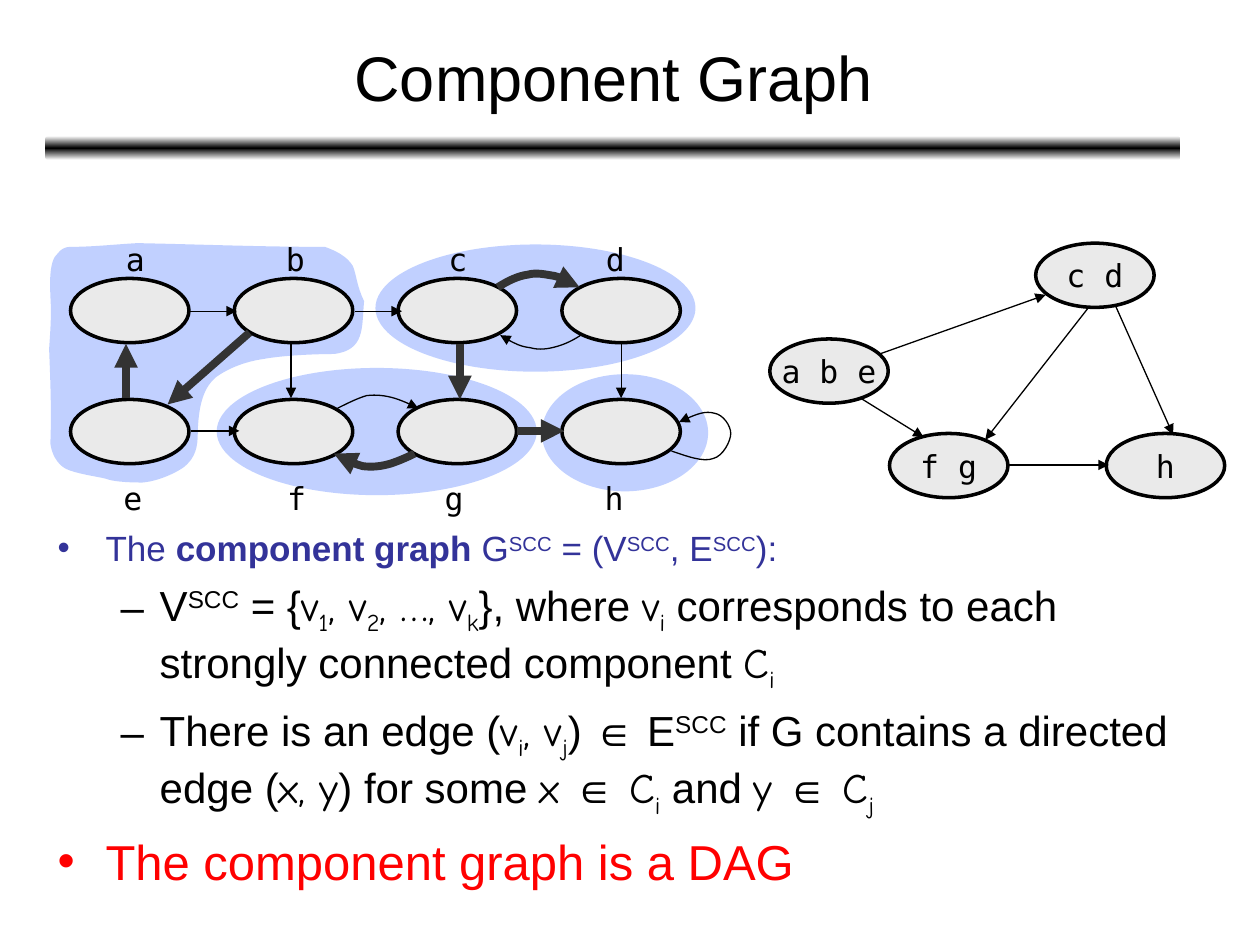
from copy import deepcopy

from lxml import etree
from pptx import Presentation
from pptx.dml.color import RGBColor
from pptx.enum.shapes import MSO_CONNECTOR, MSO_SHAPE
from pptx.enum.text import MSO_ANCHOR, PP_ALIGN
from pptx.oxml.ns import qn
from pptx.util import Inches, Pt

STRAIGHT = MSO_CONNECTOR.STRAIGHT
OVAL, ROUNDED = MSO_SHAPE.OVAL, MSO_SHAPE.ROUNDED_RECTANGLE
LEFT, CENTER = PP_ALIGN.LEFT, PP_ALIGN.CENTER
MIDDLE, TOP = MSO_ANCHOR.MIDDLE, MSO_ANCHOR.TOP

BLACK, WHITE = RGBColor(0, 0, 0), RGBColor(255, 255, 255)
NAVY, RED = RGBColor(0x33, 0x33, 0x99), RGBColor(255, 0, 0)
NODE_GRAY, TREE_GRAY = RGBColor(0xEA, 0xEA, 0xEA), RGBColor(0x33, 0x33, 0x33)
HALO_BLUE = RGBColor(0x33, 0x66, 0xFF)
SANS, HAND, MONO = "Arial", "Comic Neue", "DejaVu Sans Mono"

# Run styles: (font, bold, baseline in thousandths of a percent)
STYLES = {
    "plain": (SANS, False, 0),
    "bold": (SANS, True, 0),
    "sup": (SANS, False, 30000),
    "var": (HAND, False, 0),
    "sub": (HAND, False, -25000),
}
TOP_LEVEL = dict(indent=(0.38, -0.38), bullet="•")
SECOND_LEVEL = dict(indent=(0.81, -0.31), bullet="–", level=1, before=6, size=24, color=BLACK)
BODY = [
    ([("The ", "plain"), ("component graph", "bold"), (" G", "plain"), ("SCC", "sup"),
      (" = (V", "plain"), ("SCC", "sup"), (", E", "plain"), ("SCC", "sup"), ("):", "plain")],
     dict(TOP_LEVEL, size=20, color=NAVY)),
    ([("V", "plain"), ("SCC", "sup"), (" = {", "plain"), ("v", "var"), ("1", "sub"),
      (", v", "var"), ("2", "sub"), (", …, v", "var"), ("k", "sub"), ("}, where ", "plain"),
      ("v", "var"), ("i", "sub"),
      (" corresponds to each strongly connected component ", "plain"),
      ("C", "var"), ("i", "sub")], SECOND_LEVEL),
    ([("There is an edge (", "plain"), ("v", "var"), ("i", "sub"), (", v", "var"), ("j", "sub"),
      (") ∈ E", "plain"), ("SCC", "sup"), (" if G contains a directed edge (", "plain"),
      ("x, y", "var"), (") for some ", "plain"), ("x ", "var"), ("∈", "plain"), (" C", "var"),
      ("i", "sub"), (" and ", "plain"), ("y ", "var"), ("∈", "plain"), (" C", "var"),
      ("j", "sub")], SECOND_LEVEL),
    ([("The component graph is a DAG", "plain")],
     dict(TOP_LEVEL, size=28, color=RED, before=7)),
]

# Cubic Bézier chains: start point, then two controls and an end point per curve
ABE_HALO = [
    (0.55, 1.96), (0.74, 1.96), (0.91, 1.94), (1.09, 1.93),
    (1.59, 1.94), (2.08, 1.96), (2.58, 1.96), (2.66, 1.99), (2.75, 2.03), (2.8, 2.11),
    (2.83, 2.18), (2.83, 2.27), (2.89, 2.39), (2.87, 2.6), (2.9, 2.78), (2.65, 2.81),
    (2.52, 2.81), (2.25, 2.82), (2.09, 2.85), (1.95, 2.87), (1.82, 2.92), (1.72, 2.99),
    (1.62, 3.07), (1.58, 3.2), (1.57, 3.41), (1.57, 3.5), (1.57, 3.6), (1.49, 3.68),
    (1.45, 3.73), (1.27, 3.82), (1.13, 3.83), (0.99, 3.83), (0.89, 3.82), (0.84, 3.8),
    (0.76, 3.78), (0.6, 3.76), (0.52, 3.72), (0.45, 3.68), (0.41, 3.6), (0.4, 3.52),
    (0.41, 3.27), (0.4, 3.02), (0.39, 2.77), (0.4, 2.62), (0.41, 2.5), (0.4, 2.35),
    (0.4, 2.3), (0.38, 2.07), (0.46, 2.01), (0.48, 1.98), (0.52, 1.96), (0.55, 1.96),
]
HALOS = [(4.3, 2.97, 1.32, 0.93), (2.98, 1.94, 2.54, 1.01), (1.72, 2.92, 2.54, 1.01)]

NODE_W, NODE_H = 0.94, 0.51
NODE_LEFT, NODE_PITCH = 0.56, 1.3
# (node top, label top, [(label, label left)])
GRAPH_ROWS = [
    (2.21, 1.86, [("a", 0.9), ("b", 2.17), ("c", 3.46), ("d", 4.71)]),
    (3.17, 3.75, [("e", 0.88), ("f", 2.18), ("g", 3.43), ("h", 4.7)]),
]
COMPONENTS = [("a b e", 6.11, 2.69), ("c d", 8.22, 1.93), ("f g", 7.06, 3.44),
              ("h", 8.78, 3.44)]

# Each edge runs to its arrowhead; four or more points form a Bézier chain
THIN_EDGES = [
    [(1.5, 2.47), (1.88, 2.47)], [(2.82, 2.47), (3.19, 2.47)], [(1.52, 3.42), (1.9, 3.42)],
    [(2.31, 2.72), (2.31, 3.16)], [(4.93, 2.73), (4.93, 3.16)],
    [(2.68, 3.24), (2.76, 3.2), (2.84, 3.16), (2.91, 3.14), (2.99, 3.13), (3.06, 3.14),
     (3.13, 3.16), (3.19, 3.18), (3.26, 3.21), (3.32, 3.24)],
    [(4.61, 2.66), (4.55, 2.7), (4.49, 2.73), (4.42, 2.75), (4.35, 2.77), (4.28, 2.78),
     (4.21, 2.76), (4.13, 2.75), (4.05, 2.71), (3.97, 2.66)],
    [(5.33, 3.58), (5.45, 3.62), (5.58, 3.67), (5.66, 3.64), (5.74, 3.62), (5.8, 3.5),
     (5.8, 3.44), (5.8, 3.38), (5.74, 3.29), (5.67, 3.28), (5.6, 3.26), (5.49, 3.3),
     (5.39, 3.35)],
    [(6.98, 2.81), (8.3, 2.34)], [(6.83, 3.16), (7.33, 3.47)], [(7.99, 3.69), (8.8, 3.69)],
    [(8.64, 2.44), (7.82, 3.49)], [(8.85, 2.42), (9.31, 3.45)],
]
TREE_EDGES = [
    [(4.1, 3.42), (4.48, 3.42)], [(1, 3.16), (1, 2.73)], [(3.65, 2.73), (3.65, 3.17)],
    [(1.98, 2.64), (1.33, 3.21)],
    [(3.95, 2.28), (4.03, 2.23), (4.11, 2.19), (4.19, 2.18), (4.26, 2.16), (4.33, 2.18),
     (4.4, 2.19), (4.47, 2.21), (4.53, 2.24), (4.6, 2.28)],
    [(3.29, 3.6), (3.23, 3.63), (3.16, 3.66), (3.1, 3.68), (3.03, 3.7), (2.96, 3.71),
     (2.88, 3.7), (2.81, 3.68), (2.73, 3.64), (2.65, 3.6)],
]


def write(paragraph, runs, size, color, align=LEFT, font=None, before=0,
          indent=None, bullet=None, level=0):
    """Fill a paragraph with (text, style) runs; a given font overrides the styles."""
    paragraph.level = level
    if bullet:
        props = paragraph._p.get_or_add_pPr()
        margin, hanging = indent
        props.set("marL", str(Inches(margin)))
        props.set("indent", str(Inches(hanging)))
        etree.SubElement(props, qn("a:buFont")).set("typeface", SANS)
        etree.SubElement(props, qn("a:buChar")).set("char", bullet)
    paragraph.alignment = align
    paragraph.space_before = Pt(before)
    for text, style in runs:
        run = paragraph.add_run()
        run.text = text
        style_font, bold, baseline = STYLES[style]
        run.font.name = font or style_font
        run.font.size, run.font.bold = Pt(size), bold
        run.font.color.rgb = color
        if baseline:
            run.font._element.set("baseline", str(baseline))


def write_label(shape, text, align=LEFT, anchor=TOP):
    shape.text_frame.word_wrap = False
    shape.text_frame.vertical_anchor = anchor
    write(shape.text_frame.paragraphs[0], [(text, "plain")], 18, BLACK, align, MONO)


def add_oval(shapes, *box):
    oval = shapes.add_shape(OVAL, *map(Inches, box))
    oval.shadow.inherit = False
    return oval


def add_node(shapes, left, top):
    node = add_oval(shapes, left, top, NODE_W, NODE_H)
    node.fill.solid()
    node.fill.fore_color.rgb = NODE_GRAY
    node.line.color.rgb, node.line.width = BLACK, Pt(2)
    return node


def tint_halo(shape):
    shape.fill.solid()
    shape.fill.fore_color.rgb = HALO_BLUE
    color = shape._element.spPr.find(".//" + qn("a:srgbClr"))
    etree.SubElement(color, qn("a:alpha")).set("val", "30000")
    shape.line.fill.background()


def add_curve(shapes, points, close=False):
    """Build a freeform whose points are regrouped into cubic Bézier segments."""
    start, *rest = [(Inches(x), Inches(y)) for x, y in points]
    builder = shapes.build_freeform(*start)
    builder.add_line_segments(rest, close=close)
    curve = builder.convert_to_shape()
    curve.shadow.inherit = False
    segments = list(curve._element.iter(qn("a:lnTo")))
    for first, second, third in zip(segments[::3], segments[1::3], segments[2::3]):
        bezier = etree.Element(qn("a:cubicBezTo"))
        first.addprevious(bezier)
        for segment in (first, second, third):
            bezier.append(segment[0])
            segment.getparent().remove(segment)
    return curve


def add_edge(shapes, points, color, width):
    if len(points) == 2:
        ends = [Inches(value) for point in points for value in point]
        edge = shapes.add_connector(STRAIGHT, *ends)
        etree.SubElement(edge._element.spPr, qn("a:effectLst"))
    else:
        edge = add_curve(shapes, points)
        edge.fill.background()
    edge.line.color.rgb, edge.line.width = color, Pt(width)
    etree.SubElement(edge.line._get_or_add_ln(), qn("a:tailEnd")).set("type", "triangle")


def add_title_rule(shapes):
    rule = shapes.add_shape(ROUNDED, Inches(0.36), Inches(1.08), Inches(9.01), Inches(0.19))
    rule.shadow.inherit = False
    rule.line.fill.background()
    rule.fill.gradient()
    rule.fill.gradient_angle = 90
    outer, middle = rule.fill.gradient_stops
    outer.color.rgb, outer.position = WHITE, 0
    middle.color.rgb, middle.position = BLACK, 0.5
    stops = rule._element.spPr.find(".//" + qn("a:gsLst"))
    last = deepcopy(stops[0])
    last.set("pos", "100000")
    stops.append(last)


def main():
    prs = Presentation()
    prs.slide_width, prs.slide_height = Inches(10), Inches(7.5)
    slide = prs.slides.add_slide(prs.slide_layouts[5])
    shapes = slide.shapes
    add_title_rule(shapes)

    title = shapes.title
    title.left, title.top, title.width, title.height = map(Inches, (0.37, 0.11, 9, 0.99))
    title.text_frame.vertical_anchor = MIDDLE
    write(title.text_frame.paragraphs[0], [("Component Graph", "plain")], 36, BLACK, CENTER)

    body = shapes.add_textbox(*map(Inches, (0.36, 4.13, 9.03, 3.29))).text_frame
    body.word_wrap = True
    for index, (runs, layout) in enumerate(BODY):
        paragraph = body.add_paragraph() if index else body.paragraphs[0]
        write(paragraph, runs, **layout)

    tint_halo(add_curve(shapes, ABE_HALO, close=True))
    for box in HALOS:
        tint_halo(add_oval(shapes, *box))

    for node_top, label_top, labels in GRAPH_ROWS:
        for column, (name, label_left) in enumerate(labels):
            add_node(shapes, NODE_LEFT + column * NODE_PITCH, node_top)
            label = shapes.add_textbox(*map(Inches, (label_left, label_top, 0.35, 0.4)))
            write_label(label, name)
    for name, left, top in COMPONENTS:
        write_label(add_node(shapes, left, top), name, CENTER, MIDDLE)

    for points in THIN_EDGES:
        add_edge(shapes, points, BLACK, 0.75)
    for points in TREE_EDGES:
        add_edge(shapes, points, TREE_GRAY, 4.5)
    prs.save("out.pptx")


if __name__ == "__main__":
    main()
